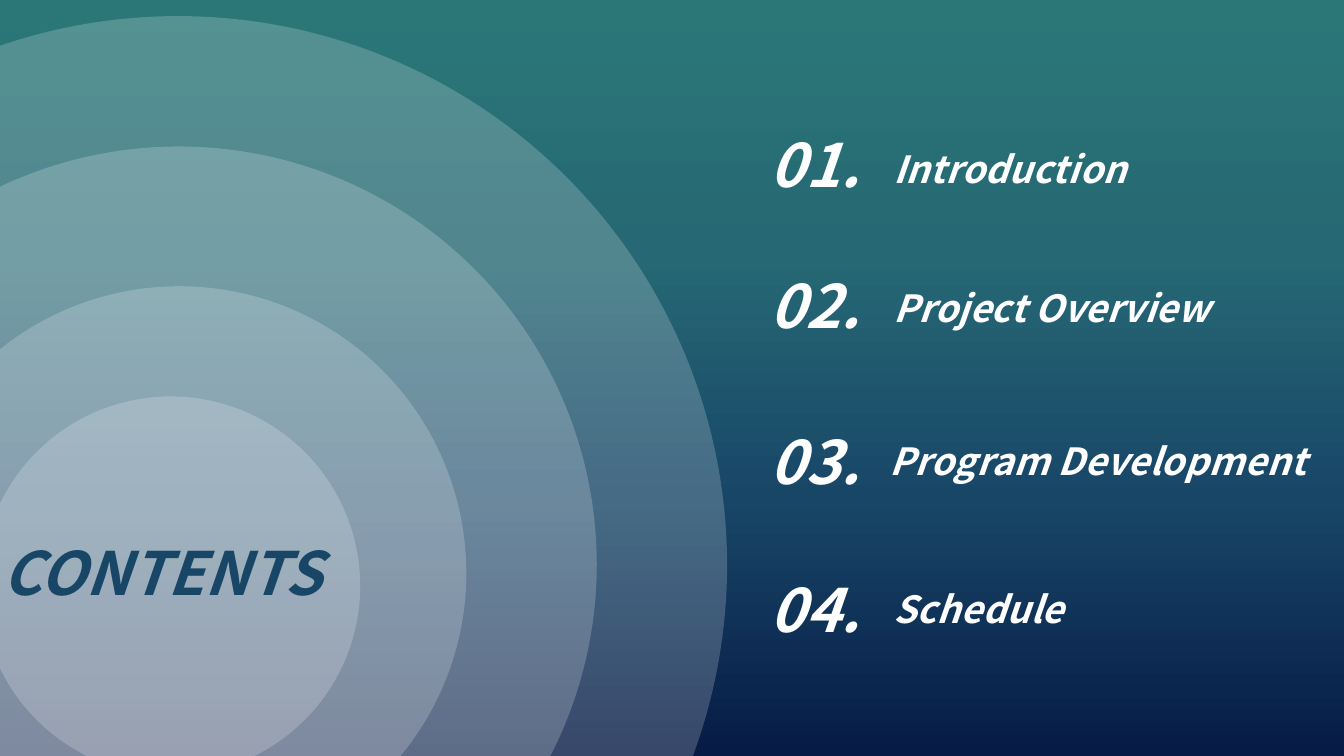
from lxml.etree import SubElement
from pptx import Presentation
from pptx.dml.color import RGBColor
from pptx.enum.shapes import MSO_SHAPE
from pptx.enum.text import MSO_ANCHOR, MSO_AUTO_SIZE, PP_ALIGN
from pptx.oxml.ns import qn
from pptx.util import Inches, Pt

TITLE = "CONTENTS"
TITLE_BOX = (-0.08, 3.94, 2.71, 0.64)
ITEMS = [
    ("Introduction", 0.9, 6.55, 1.04, 1.97),
    ("Project Overview", 1.95, 6.55, 2.07, 2.61),
    ("Program Development", 3.11, 6.52, 3.21, 3.39),
    ("Schedule", 4.21, 6.55, 4.31, 1.47),
]
CIRCLES = [(-2.76, 0.12, 8.17), (-1.78, 1.09, 6.22), (-0.8, 2.13, 4.27), (-0.14, 2.95, 2.82)]
NUMBER_LEFT, NUMBER_W, NUMBER_H, LABEL_H = 5.63, 0.88, 0.64, 0.44

THEME = {
    "font": "Noto Sans CJK SC",
    "large": 32,
    "label": 20,
    "light": "FFFFFF",
    "title": "184667",
    "circle_alpha": 20,
    "gradient": [(0, "2B7777"), (34, "266874"), (66, "184667"), (100, "061B46")],
}


def paint_background(s):
    fill = s.background.fill
    fill.gradient()
    fill.gradient_angle = 270
    stops = next(s._element.iter(qn("a:gsLst")))
    for stop in list(stops):
        stops.remove(stop)
    for pos, color in THEME["gradient"]:
        stop = SubElement(stops, qn("a:gs"), pos=str(pos * 1000))
        SubElement(stop, qn("a:srgbClr"), val=color)


def add_circle(group, left, top, size):
    sp = group.shapes.add_shape(MSO_SHAPE.OVAL, *map(Inches, (left, top, size, size)))
    sp.shadow.inherit = False
    sp.line.fill.background()
    sp.fill.solid()
    sp.fill.fore_color.rgb = RGBColor.from_string(THEME["light"])
    color = next(sp._element.spPr.iter(qn("a:srgbClr")))
    SubElement(color, qn("a:alpha"), val=str(THEME["circle_alpha"] * 1000))


def write(sp, text, size, color):
    tf = sp.text_frame
    tf.text = text
    tf.word_wrap = False
    tf.auto_size = MSO_AUTO_SIZE.SHAPE_TO_FIT_TEXT
    tf.vertical_anchor = MSO_ANCHOR.TOP
    p = tf.paragraphs[0]
    p.alignment = PP_ALIGN.LEFT
    p.line_spacing = 1.0
    p.space_before = Pt(0)
    font = p.runs[0].font
    font.name, font.size = THEME["font"], Pt(size)
    font.bold = font.italic = True
    font.color.rgb = RGBColor.from_string(color)


def add_text(s, box, text, size):
    write(s.shapes.add_textbox(*map(Inches, box)), text, size, THEME["light"])


def main():
    prs = Presentation()
    prs.slide_width = Inches(10)
    prs.slide_height = prs.slide_width * 9 // 16
    s = prs.slides.add_slide(prs.slide_layouts[5])
    paint_background(s)

    circles = s.shapes.add_group_shape()
    for circle in CIRCLES:
        add_circle(circles, *circle)

    title = s.shapes.title
    title.left, title.top, title.width, title.height = map(Inches, TITLE_BOX)
    write(title, TITLE, THEME["large"], THEME["title"])
    s.shapes._spTree.append(title._element)

    for i, (label, number_top, left, top, width) in enumerate(ITEMS, 1):
        add_text(s, (NUMBER_LEFT, number_top, NUMBER_W, NUMBER_H), f"{i:02}.", THEME["large"])
        add_text(s, (left, top, width, LABEL_H), label, THEME["label"])

    prs.save("out.pptx")


if __name__ == "__main__":
    main()
